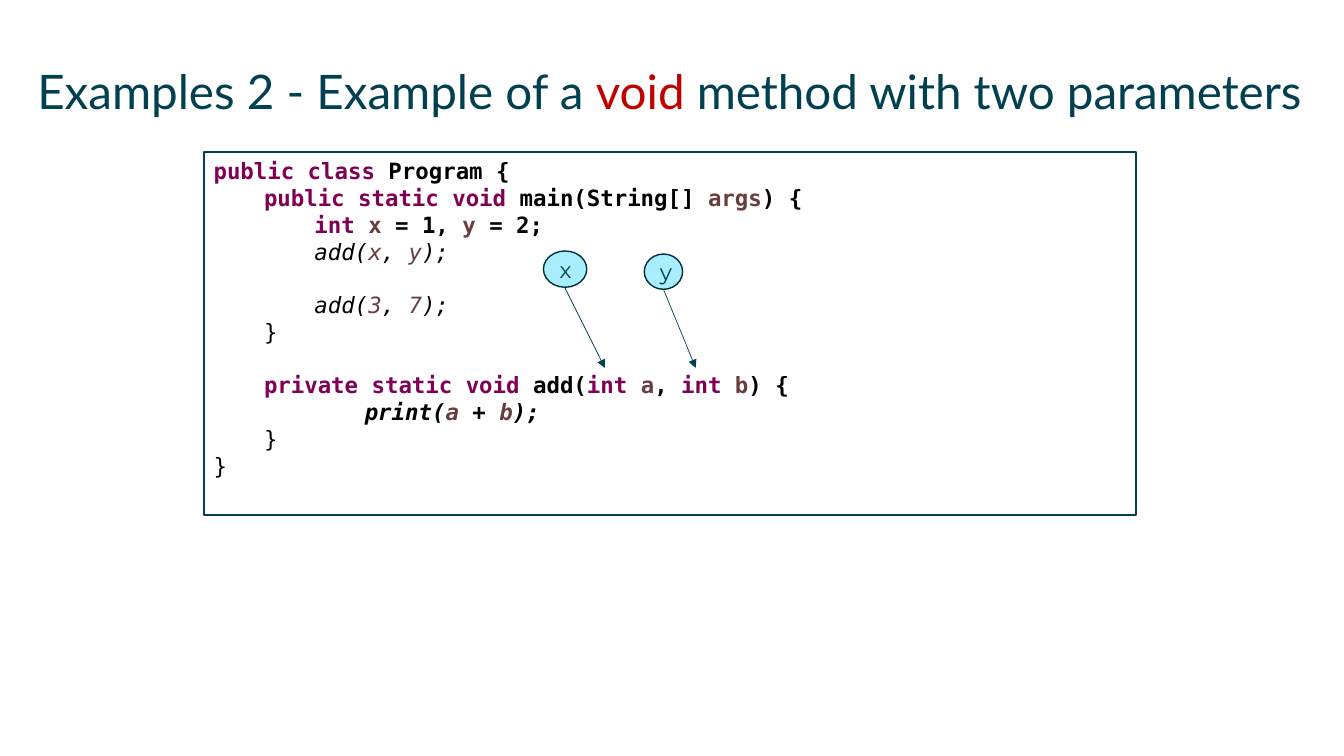
from dataclasses import dataclass

from lxml import etree
from pptx import Presentation
from pptx.dml.color import RGBColor
from pptx.enum import shapes, text
from pptx.oxml.ns import qn
from pptx.util import Inches, Pt


@dataclass(frozen=True)
class Theme:
    ink: str = "004050"
    accent: str = "C00000"
    paper: str = "FFFFFF"
    plain: str = "000000"
    keyword: str = "7F0055"
    variable: str = "6A3E3E"
    bubble: str = "A9EEFF"
    bubble_line: str = "002F3B"
    title_font: str = "Lato"
    code_font: str = "DejaVu Sans Mono"
    label_font: str = "Montserrat"
    title_size: float = 34
    body_size: float = 16
    blank_line: float = 19


THEME = Theme()
K, V, P = THEME.keyword, THEME.variable, THEME.plain
BOLD, ITALIC = "bold", "italic"

# Indent level, styles, blank lines above, coloured runs
CODE = [
    (0, {BOLD}, 0, [("public class", K), (" Program {", P)]),
    (1, {BOLD}, 0, [("public static void", K), (" main(String[] ", P), ("args", V), (") {", P)]),
    (2, {BOLD}, 0, [("int ", K), ("x", V), (" = 1, ", P), ("y", V), (" = 2;", P)]),
    (2, {ITALIC}, 0, [("add(", P), ("x", V), (", ", P), ("y", V), (");", P)]),
    (2, {ITALIC}, 1, [("add(", P), ("3", V), (", ", P), ("7", V), (");", P)]),
    (1, set(), 0, [("}", P)]),
    (1, {BOLD}, 1, [("private static void", K), (" add(", P), ("int ", K), ("a", V),
                    (", ", P), ("int ", K), ("b", V), (") {", P)]),
    (3, {BOLD, ITALIC}, 0, [("print(", P), ("a", V), (" + ", P), ("b", V), (");", P)]),
    (1, set(), 0, [("}", P)]),
    (0, set(), 0, [("}", P)]),
]


class SlideBuilder:
    def __init__(self, prs, theme):
        self.theme = theme
        self.slide = prs.slides.add_slide(prs.slide_layouts[5])

    def runs(self, p, parts, font, size):
        p.font.name, p.font.size = font, Pt(size)
        for words, colour in parts:
            r = p.add_run()
            r.text = words
            r.font.color.rgb = RGBColor.from_string(colour)

    def title(self, box, parts):
        sp = self.slide.shapes.title
        sp.left, sp.top, sp.width, sp.height = map(Inches, box)
        tf = sp.text_frame
        tf.margin_left = tf.margin_right = tf.margin_top = tf.margin_bottom = 0
        tf.word_wrap = True
        tf.auto_size = text.MSO_AUTO_SIZE.NONE
        tf.vertical_anchor = text.MSO_ANCHOR.TOP
        p = tf.paragraphs[0]
        p.alignment = text.PP_ALIGN.LEFT
        self.runs(p, parts, self.theme.title_font, self.theme.title_size)

    def shape(self, kind, box, fill, line, weight):
        sp = self.slide.shapes.add_shape(kind, *map(Inches, box))
        sp.shadow.inherit = False
        sp.fill.solid()
        sp.fill.fore_color.rgb = RGBColor.from_string(fill)
        sp.line.color.rgb = RGBColor.from_string(line)
        sp.line.width = Pt(weight)
        return sp

    def code(self, box, lines):
        t = self.theme
        sp = self.shape(shapes.MSO_SHAPE.RECTANGLE, box, t.paper, t.ink, 1.5)
        tf = sp.text_frame
        tf.word_wrap = True
        tf.vertical_anchor = text.MSO_ANCHOR.TOP
        for i, (level, styles, blanks, parts) in enumerate(lines):
            p = tf.add_paragraph() if i else tf.paragraphs[0]
            p.alignment = text.PP_ALIGN.LEFT
            p.font.bold, p.font.italic = BOLD in styles, ITALIC in styles
            p.space_before = Pt(blanks * t.blank_line)
            p._p.get_or_add_pPr().set("marL", str(Inches(0.5 * level)))
            self.runs(p, parts, t.code_font, t.body_size)

    def bubble(self, box, label):
        t = self.theme
        sp = self.shape(shapes.MSO_SHAPE.OVAL, box, t.bubble, t.bubble_line, 1)
        tf = sp.text_frame
        tf.vertical_anchor = text.MSO_ANCHOR.MIDDLE
        p = tf.paragraphs[0]
        p.alignment = text.PP_ALIGN.CENTER
        self.runs(p, [(label, t.ink)], t.label_font, t.body_size)

    def arrow(self, start, end):
        cx = self.slide.shapes.add_connector(
            shapes.MSO_CONNECTOR.STRAIGHT, *map(Inches, start + end))
        cx.line.color.rgb = RGBColor.from_string(self.theme.ink)
        cx.line.width = Pt(0.5)
        etree.SubElement(cx.line._get_or_add_ln(), qn("a:tailEnd"), type="triangle")
        etree.SubElement(cx._element.spPr, qn("a:effectLst"))


def main():
    prs = Presentation()
    prs.slide_width, prs.slide_height = Inches(13.33), Inches(7.5)
    s = SlideBuilder(prs, THEME)
    s.title((0.37, 0.61, 12.79, 0.88), [
        ("Examples 2 - Example of a ", THEME.ink),
        ("void ", THEME.accent),
        ("method with two parameters", THEME.ink),
    ])
    s.code((2.02, 1.51, 9.25, 3.6), CODE)
    s.bubble((5.39, 2.49, 0.43, 0.36), "x")
    s.bubble((6.39, 2.52, 0.38, 0.35), "y")
    s.arrow((5.6, 2.85), (6, 3.65))
    s.arrow((6.58, 2.87), (6.9, 3.65))
    prs.save("out.pptx")


if __name__ == "__main__":
    main()
